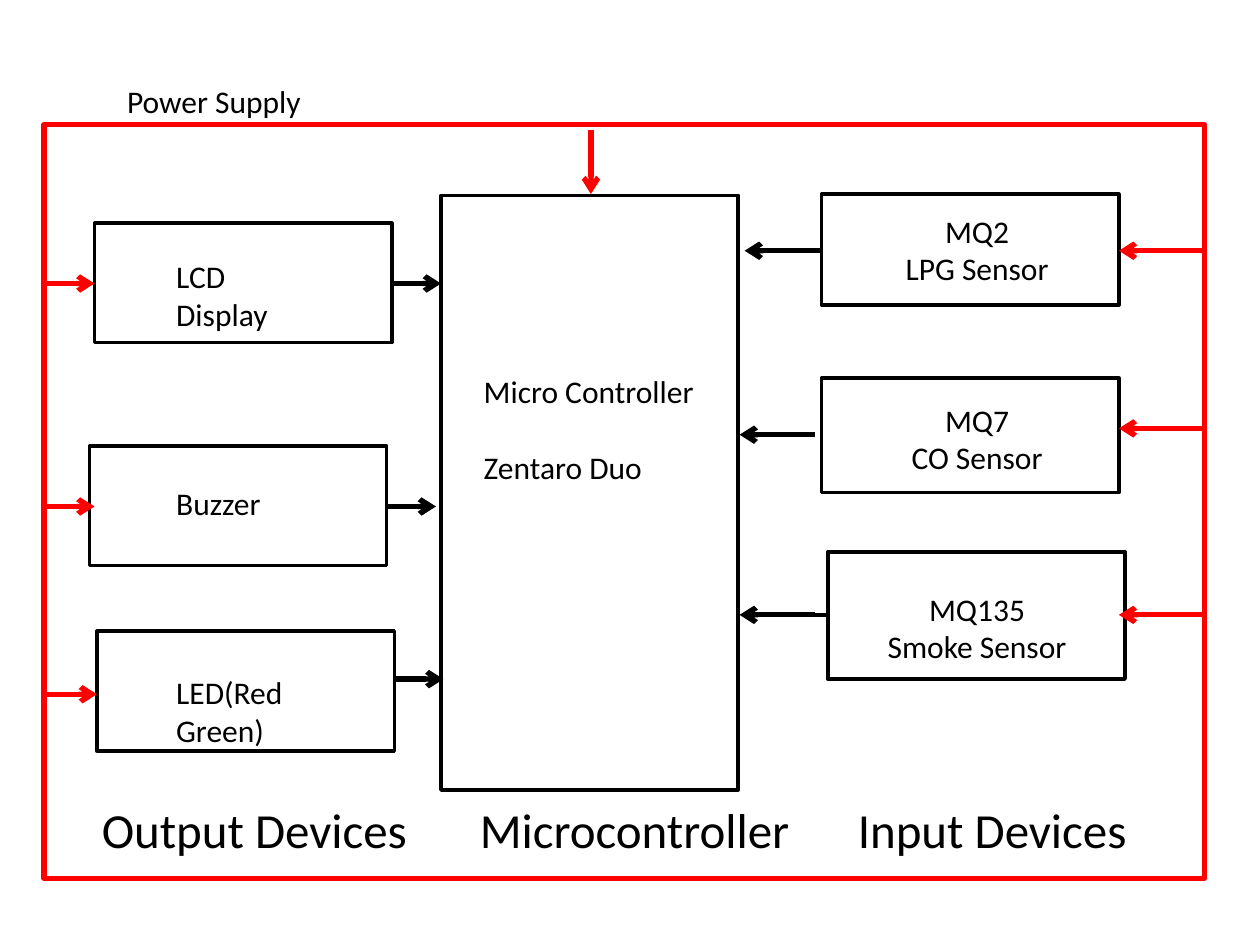
import pptx
import pptx.util
import pptx.dml.color
import pptx.enum.shapes
import pptx.enum.text
import pptx.oxml
import pptx.oxml.ns
from pptx.util import Inches

COLORS = {"ink": "000000", "paper": "FFFFFF", "power": "FF0000"}


class Diagram:
    font = "Calibri"

    def __init__(self, slide):
        self.s = slide

    def color(self, name):
        return pptx.dml.color.RGBColor.from_string(COLORS[name])

    def outline(self, sp, color, width):
        sp.line.color.rgb = self.color(color)
        sp.line.width = pptx.util.Pt(width)

    def box(self, x, y, w, h, line="ink", width=2, fill=None):
        rect = pptx.enum.shapes.MSO_SHAPE.RECTANGLE
        sp = self.s.shapes.add_shape(rect, Inches(x), Inches(y), Inches(w), Inches(h))
        sp.shadow.inherit = False
        if fill:
            sp.fill.solid()
            sp.fill.fore_color.rgb = self.color(fill)
        else:
            sp.fill.background()
        self.outline(sp, line, width)

    def line(self, x1, y1, x2, y2, color="ink", width=3, arrow=True):
        straight = pptx.enum.shapes.MSO_CONNECTOR.STRAIGHT
        sp = self.s.shapes.add_connector(straight, Inches(x1), Inches(y1), Inches(x2), Inches(y2))
        self.outline(sp, color, width)
        if arrow:
            ln = sp.line._get_or_add_ln()
            ln.append(pptx.oxml.parse_xml(
                f'<a:tailEnd {pptx.oxml.ns.nsdecls("a")} type="arrow"/>'))
        sp._element.spPr.append(pptx.oxml.parse_xml(
            f'<a:effectLst {pptx.oxml.ns.nsdecls("a")}/>'))

    def text(self, x, y, w, h, lines, size=18, align="LEFT", gap=0):
        sp = self.s.shapes.add_textbox(Inches(x), Inches(y), Inches(w), Inches(h))
        tf = sp.text_frame
        tf.word_wrap = True
        for i, line in enumerate(lines):
            p = tf.paragraphs[0] if i == 0 else tf.add_paragraph()
            p.text = line
            p.alignment = getattr(pptx.enum.text.PP_ALIGN, align)
            p.font.name = self.font
            p.font.size = pptx.util.Pt(size)
            p.font.color.rgb = self.color("ink")
            if i:
                p.space_before = pptx.util.Pt(gap)


def main():
    prs = pptx.Presentation()
    prs.slide_width, prs.slide_height = Inches(10), Inches(7.5)
    d = Diagram(prs.slides.add_slide(prs.slide_layouts[6]))

    box_w = 2.36
    d.box(3.5, 1.55, box_w, 4.72, fill="paper")
    d.text(3.74, 2.9, 1.89, 1.01, ["Micro Controller", "Zentaro Duo"], gap=22)

    outputs = [
        (0.75, 1.77, 1.99, ["LCD", "Display"], 2.25, 2.25),
        (0.71, 3.54, 3.79, ["Buzzer"], 4.02, 4.02),
        (0.77, 5.01, 5.29, ["LED(Red", "Green)"], 5.51, 5.39),
    ]
    for x, y, text_y, lines, _, _ in outputs:
        d.box(x, y, box_w, 0.95, fill="paper")
        d.text(1.3, text_y, 1.26, 0.1 + 0.3 * len(lines), lines)

    inputs = [
        (6.52, 1.54, 0.88, ["MQ2", "LPG Sensor"], 1.99, 1.99, 5.91),
        (6.52, 3, 0.91, ["MQ7", "CO Sensor"], 3.4, 3.45, 5.87),
        (6.57, 4.38, 1.01, ["MQ135", "Smoke Sensor"], 4.88, 4.88, 5.87),
    ]
    for i, (x, y, h, lines, _, _, _) in enumerate(inputs):
        d.box(x, y, box_w, h, fill="paper")
        d.text(6.89, 1.63 + 1.5 * i, 1.73, 0.7, lines, align="CENTER")
    d.line(5.91, 4.88, 6.57, 4.88, width=2.25, arrow=False)

    d.box(0.35, 0.99, 9.21, 5.98, line="power", width=3)
    d.text(0.91, 0.6, 1.65, 0.4, ["Power Supply"])
    d.line(4.69, 1.03, 4.69, 1.54, "power")

    for x, _, _, _, power_y, signal_y in outputs:
        tip = max(x, 0.75)
        d.line(tip - 0.4, power_y, tip, power_y, "power")
        d.line(x + box_w, signal_y, x + box_w + 0.39, signal_y)
    for _, _, _, _, power_y, signal_y, tip in inputs:
        d.line(9.57, power_y, 8.88, power_y, "power")
        d.line(tip + 0.6, signal_y, tip, signal_y)

    for i, title in enumerate(["Output Devices", "Microcontroller", "Input Devices"]):
        d.text(0.71 + 3 * i, 6.3, 2.8, 0.57, [title], size=28)

    prs.save("out.pptx")


if __name__ == "__main__":
    main()
